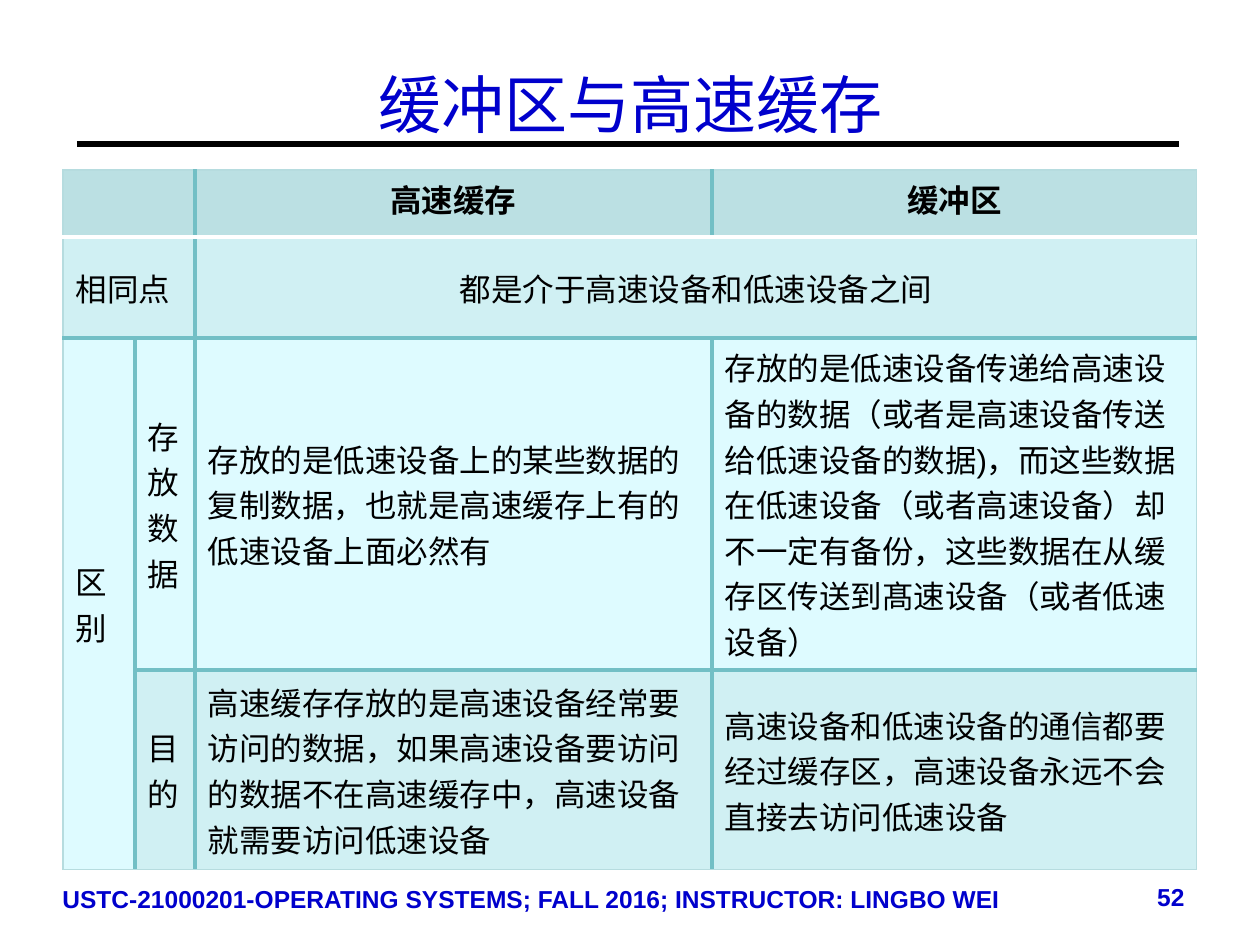
from lxml.etree import SubElement
from pptx import Presentation
from pptx.dml.color import RGBColor
from pptx.enum.shapes import MSO_CONNECTOR
from pptx.enum.text import MSO_ANCHOR as Anchor, PP_ALIGN as Align
from pptx.oxml.ns import qn
from pptx.util import Emu, Pt

PX = 914400 // 126
BLUE, BLACK, WHITE = "0000CC", "000000", "FFFFFF"
HEADER, BAND, PLAIN = "BBE0E3", "D0F0F3", "DEFBFF"
INNER, OUTER, RULE = ("72BFC5", 2.25), ("B6DCDF", 0.75), (WHITE, 2)


def rgb(value):
    return RGBColor.from_string(value)


def write(frame, text, size, font, color, align=Align.LEFT, bold=False):
    frame.word_wrap = True
    para = frame.paragraphs[0]
    para.text = text
    para.alignment = align
    para.font.size = Pt(size)
    para.font.name = font
    para.font.bold = bold
    para.font.color.rgb = rgb(color)


deck = Presentation()
deck.slide_width, deck.slide_height = Emu(1260 * PX), Emu(945 * PX)
page = deck.slides.add_slide(deck.slide_layouts[5])

# Title and the rule below it
title = page.shapes.title
title.left, title.top, title.width, title.height = [
    Emu(v * PX) for v in (63, 24, 1134, 158)]
title.text_frame.vertical_anchor = Anchor.MIDDLE
write(title.text_frame, "缓冲区与高速缓存", 36, "Times New Roman", BLUE, Align.CENTER)

line = page.shapes.add_connector(
    MSO_CONNECTOR.STRAIGHT, 77 * PX, 144 * PX, 1179 * PX, 144 * PX)
line.line.color.rgb = rgb(BLACK)
line.line.width = Pt(3)
SubElement(line._element.spPr, qn("a:effectLst"))

# Comparison table
widths = [72, 60, 517, 485]
heights = [67, 101, 332, 200]
fills = [HEADER, BAND, PLAIN, BAND]
texts = [
    ["", "", "高速缓存", "缓冲区"],
    ["相同点", "", "都是介于高速设备和低速设备之间", ""],
    ["区别", "存放数据",
     "存放的是低速设备上的某些数据的复制数据，也就是高速缓存上有的低速设备上面必然有",
     "存放的是低速设备传递给高速设备的数据（或者是高速设备传送给低速设备的数据)，"
     "而这些数据在低速设备（或者高速设备）却不一定有备份，"
     "这些数据在从缓存区传送到髙速设备（或者低速设备）"],
    ["", "目的",
     "高速缓存存放的是高速设备经常要访问的数据，如果高速设备要访问的数据不在高速缓存中，"
     "高速设备就需要访问低速设备",
     "高速设备和低速设备的通信都要经过缓存区，高速设备永远不会直接去访问低速设备"],
]
table = page.shapes.add_table(
    4, 4, 63 * PX, 170 * PX, sum(widths) * PX, sum(heights) * PX).table
table.first_row = table.horz_banding = False
for column, width in zip(table.columns, widths):
    column.width = Emu(width * PX)
for row, height in zip(table.rows, heights):
    row.height = Emu(height * PX)
for first, last in [((0, 0), (0, 1)), ((1, 0), (1, 1)),
                    ((1, 2), (1, 3)), ((2, 0), (3, 0))]:
    table.cell(*first).merge(table.cell(*last))

for r, row_texts in enumerate(texts):
    for c, text in enumerate(row_texts):
        cell = table.cell(r, c)
        if cell.is_spanned:
            continue
        right = c + (cell.span_width if cell.is_merge_origin else 1)
        bottom = r + (cell.span_height if cell.is_merge_origin else 1)
        borders = {
            "a:lnL": OUTER if c == 0 else INNER,
            "a:lnR": OUTER if right == 4 else INNER,
            "a:lnT": {0: OUTER, 1: RULE}.get(r, INNER),
            "a:lnB": {1: RULE, 4: OUTER}.get(bottom, INNER),
        }
        for tag, (color, points) in borders.items():
            edge = SubElement(cell._tc.get_or_add_tcPr(), qn(tag), w=str(Pt(points)))
            SubElement(SubElement(edge, qn("a:solidFill")), qn("a:srgbClr"), val=color)
        cell.fill.solid()
        cell.fill.fore_color.rgb = rgb(fills[r])
        cell.vertical_anchor = Anchor.TOP if r == 0 else Anchor.MIDDLE
        centred = r == 0 or (r, c) == (1, 2)
        label = r == 0 or (r > 1 and c < 2)
        write(cell.text_frame, text, 18, "Noto Sans CJK SC" if label else "Arial",
              BLACK, Align.CENTER if centred else Align.LEFT, bold=r == 0)

# Footer and page number
for left, top, width, text, align in [
    (50, 878, 993, "USTC-21000201-OPERATING SYSTEMS; FALL 2016; INSTRUCTOR: LINGBO WEI",
     Align.LEFT),
    (1070, 876, 127, "52", Align.RIGHT),
]:
    box = page.shapes.add_textbox(left * PX, top * PX, width * PX, 65 * PX)
    write(box.text_frame, text, 14, "Arial", BLUE, align, bold=True)

deck.save("out.pptx")
